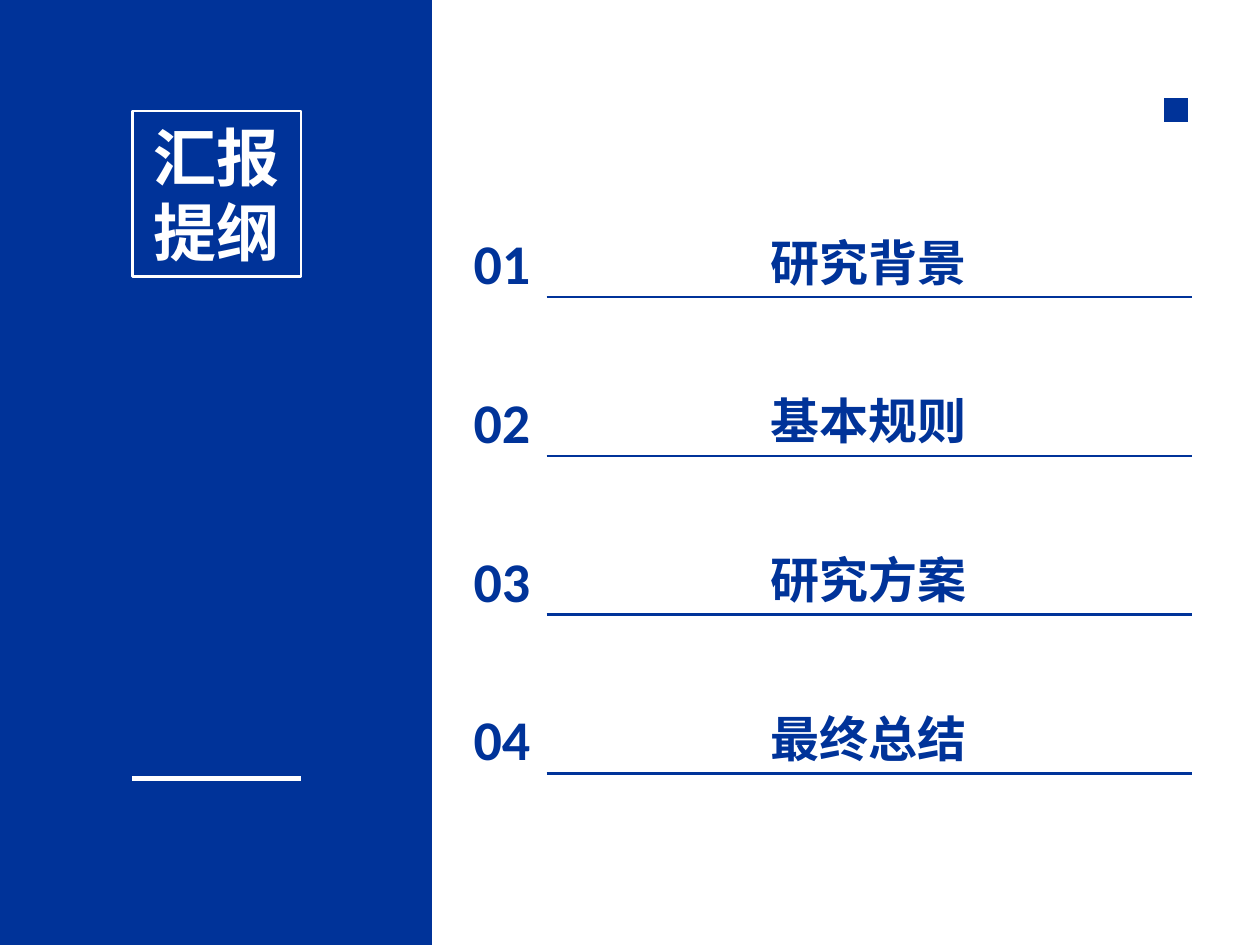
from lxml.etree import SubElement
from pptx import Presentation
from pptx.dml.color import RGBColor
from pptx.enum.shapes import MSO_CONNECTOR, MSO_SHAPE
from pptx.enum.text import MSO_ANCHOR, PP_ALIGN
from pptx.oxml.ns import qn
from pptx.util import Cm, Pt

COLORS = {"blue": "003399", "white": "FFFFFF"}
CHINESE_FONT, NUMBER_FONT = "Noto Sans CJK SC", "Calibri"
TOPICS = ["研究背景", "基本规则", "研究方案", "最终总结"]


def color(name):
    return RGBColor.from_string(COLORS[name])


def add_rectangle(shapes, left, top, width, height, fill=None, line=None):
    shape = shapes.add_shape(
        MSO_SHAPE.RECTANGLE, Cm(left), Cm(top), Cm(width), Cm(height))
    shape.shadow.inherit = False
    if fill:
        shape.fill.solid()
        shape.fill.fore_color.rgb = color(fill)
    else:
        shape.fill.background()
    if line:
        shape.line.color.rgb = color(line)
        shape.line.width = Pt(1.5)
    else:
        shape.line.fill.background()
    return shape


def add_rule(shapes, left, right, y, color_name, weight):
    rule = shapes.add_connector(
        MSO_CONNECTOR.STRAIGHT, Cm(left), Cm(y), Cm(right), Cm(y))
    rule.line.color.rgb = color(color_name)
    rule.line.width = Pt(weight)
    SubElement(rule._element.spPr, qn("a:effectLst"))


def write_text(shape, text, size, color_name, font):
    text_frame = shape.text_frame
    text_frame.text = text
    text_frame.word_wrap = True
    text_frame.vertical_anchor = MSO_ANCHOR.MIDDLE
    for paragraph in text_frame.paragraphs:
        paragraph.alignment = PP_ALIGN.CENTER
        if font == CHINESE_FONT:
            paragraph.line_spacing = Pt(size * 1.2)
        for run in paragraph.runs:
            run.font.size = Pt(size)
            run.font.bold = True
            run.font.name = font
            run.font.color.rgb = color(color_name)
            east_asian = SubElement(run.font._element, qn("a:ea"))
            east_asian.set("typeface", font)


def add_title_panel(slide, left, top, width, height):
    shapes = slide.shapes
    add_rectangle(shapes, left, top, width, height, fill="blue")
    # Framed title and the rule below it share one width
    frame_left, frame_width = left + 2.67, 3.4
    frame = add_rectangle(
        shapes, frame_left, top + 2.24, frame_width, 3.33, line="white")
    write_text(frame, "汇报\n提纲", 36, "white", CHINESE_FONT)
    add_rule(shapes, frame_left, frame_left + frame_width, top + 15.7, "white", 3)


def add_topic(slide, left, top, width, number, topic):
    shapes = slide.shapes.add_group_shape().shapes
    number_width = 1.8
    topic_box = shapes.add_textbox(
        Cm(left + 3), Cm(top + 0.08), Cm(10.59), Cm(1.45))
    write_text(topic_box, topic, 28, "blue", CHINESE_FONT)
    number_box = shapes.add_textbox(
        Cm(left), Cm(top), Cm(number_width), Cm(1.63))
    write_text(number_box, f"{number:02d}", 32, "blue", NUMBER_FONT)
    add_rule(shapes, left + number_width, left + width, top + 1.52, "blue", 1.5)


def add_agenda(slide, left, top, width, pitch):
    # Square accent in the upper right corner
    add_rectangle(slide.shapes, left + width - 0.56, top - 2.49, 0.48, 0.48,
                  fill="blue")
    for index, topic in enumerate(TOPICS):
        add_topic(slide, left, top + index * pitch, width, index + 1, topic)


def main():
    presentation = Presentation()
    presentation.slide_width, presentation.slide_height = Cm(25.4), Cm(19.05)
    slide = presentation.slides.add_slide(presentation.slide_layouts[6])
    add_title_panel(slide, 0, 0, 8.71, 19.05)
    add_agenda(slide, 9.22, 4.47, 14.81, 3.2)
    presentation.save("out.pptx")


if __name__ == "__main__":
    main()
